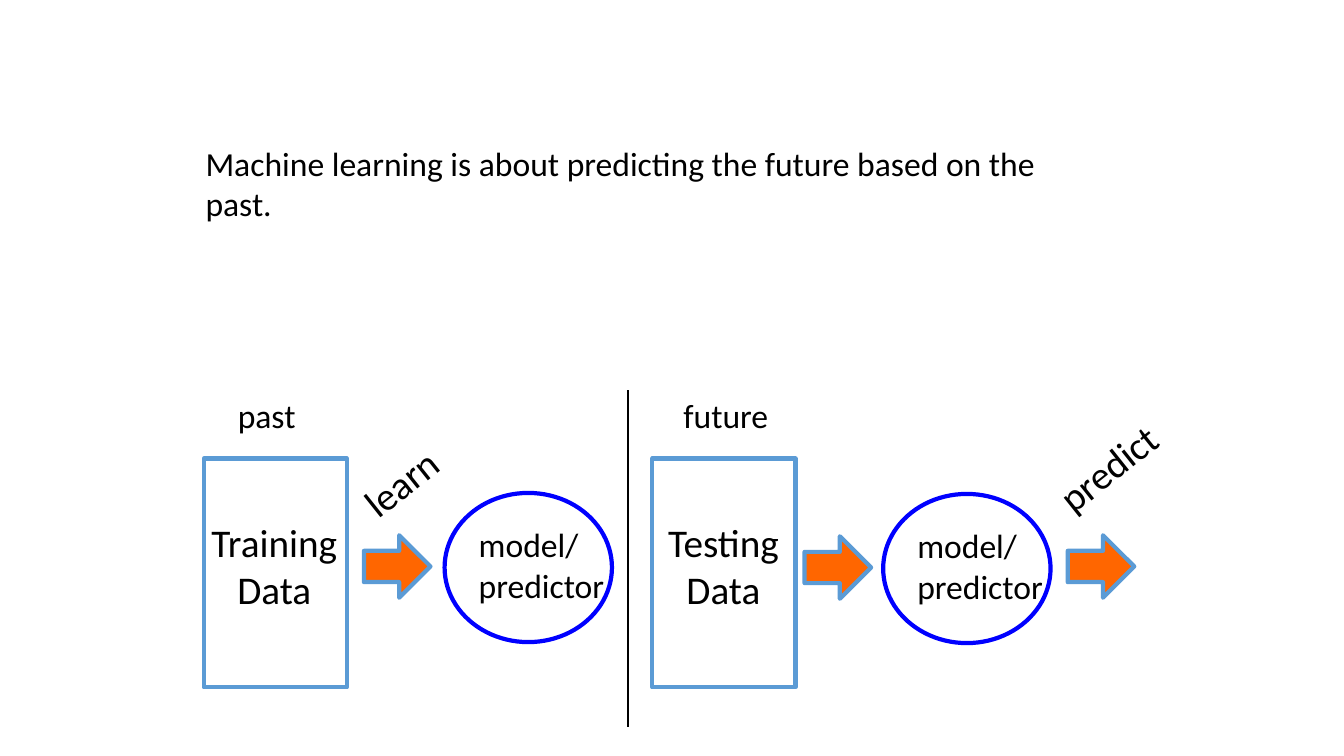
from lxml import etree
from pptx import Presentation
from pptx.dml.color import RGBColor
from pptx.enum import shapes, text
from pptx.oxml import ns
from pptx.util import Inches, Pt

BLACK = RGBColor(0x00, 0x00, 0x00)
SKY = RGBColor(0x5B, 0x9B, 0xD5)
BLUE = RGBColor(0x00, 0x00, 0xFF)
ORANGE = RGBColor(0xFF, 0x66, 0x00)
LEFT, CENTER = text.PP_ALIGN.LEFT, text.PP_ALIGN.CENTER
KIND = shapes.MSO_SHAPE

deck = Presentation()
deck.slide_width, deck.slide_height = Inches(13.33), Inches(7.5)
page = deck.slides.add_slide(deck.slide_layouts[6])


def add_figure(kind, left, top, width, height, line, fill=None):
    figure = page.shapes.add_shape(kind, *map(Inches, (left, top, width, height)))
    figure.shadow.inherit = False
    figure.line.color.rgb = line
    figure.line.width = Pt(3)
    if fill is None:
        figure.fill.background()
    else:
        figure.fill.solid()
        figure.fill.fore_color.rgb = fill


def add_label(lines, left, top, width, height, size, align=LEFT, wrap=False, turn=0):
    box = page.shapes.add_textbox(*map(Inches, (left, top, width, height)))
    box.rotation = turn
    box.text_frame.word_wrap = wrap
    box.text_frame.text = "\n".join(lines)
    font_format = {"name": "Calibri", "size": Pt(size)}
    for para in box.text_frame.paragraphs:
        para.alignment = align
        for span in para.runs:
            span.font.color.rgb = BLACK
            for name, value in font_format.items():
                setattr(span.font, name, value)


add_label(["Machine learning is about predicting the future based on the past."],
          1.94, 1.37, 9.07, 1.31, 24, wrap=True)

for era, era_left, era_width, data, data_left, data_width, box_left in [
    ("past", 2.26, 0.78, "Training", 1.99, 1.46, 2.02),
    ("future", 6.68, 1.05, "Testing", 6.52, 1.31, 6.47),
]:
    add_label([era], era_left, 3.87, era_width, 0.5, 24)
    add_figure(KIND.RECTANGLE, box_left, 4.55, 1.42, 2.27, SKY)
    add_label([data, "Data"], data_left, 5.09, data_width, 1.04, 28, CENTER)

for model_left, model_top in [(4.41, 4.89), (8.76, 4.9)]:
    add_figure(KIND.OVAL, model_left, model_top, 1.66, 1.48, BLUE)
    add_label(["model/", "predictor"], model_left + 0.24, model_top + 0.26, 1.46, 0.91, 24)

for arrow_left, arrow_top in [(3.61, 5.31), (7.98, 5.32), (10.59, 5.31)]:
    add_figure(KIND.RIGHT_ARROW, arrow_left, arrow_top, 0.66, 0.62, SKY, ORANGE)

for action, left, top, width in [("learn", 3.47, 4.5, 1.01), ("predict", 10.33, 4.35, 1.33)]:
    add_label([action], left, top, width, 0.57, 28, turn=321.5)

divider = page.shapes.add_connector(
    shapes.MSO_CONNECTOR.STRAIGHT, *map(Inches, (6.23, 3.87, 6.23, 7.21)))
divider.line.color.rgb = BLACK
divider.line.width = Pt(1)
etree.SubElement(divider.element.spPr, ns.qn("a:effectLst"))

deck.save("out.pptx")
